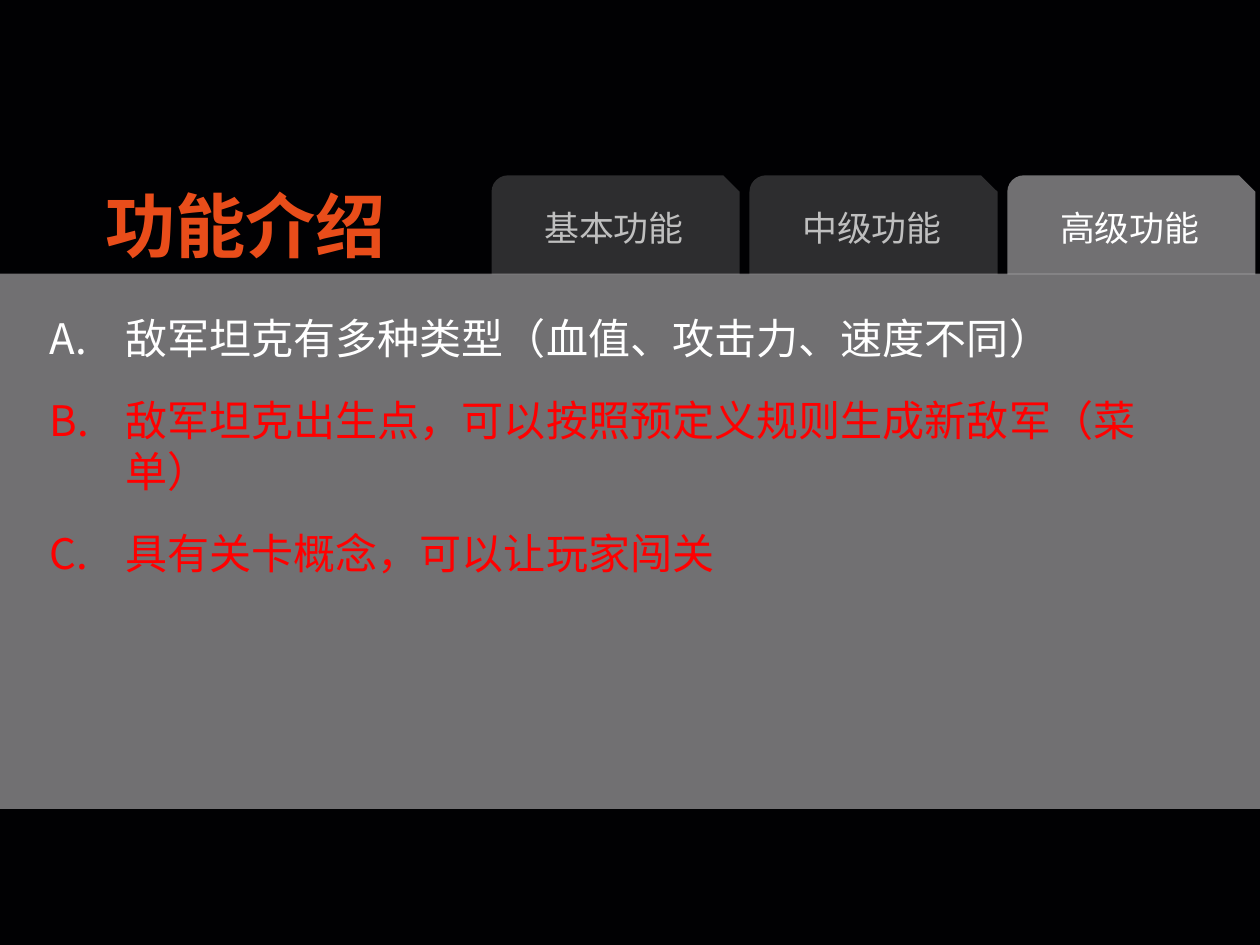
import dataclasses

import lxml.etree
import pptx
import pptx.dml.color
import pptx.enum.shapes
import pptx.enum.text
import pptx.oxml.ns
import pptx.util

Inches = pptx.util.Inches
Pt = pptx.util.Pt
Align = pptx.enum.text.PP_ALIGN
Shape = pptx.enum.shapes.MSO_SHAPE
qn = pptx.oxml.ns.qn


@dataclasses.dataclass(frozen=True)
class Theme:
    """Colours, type sizes and font of the slide."""
    font: str = "Noto Sans CJK SC"
    background: str = "010103"
    panel: str = "E1E0E2"
    title: str = "E94D1A"
    muted: str = "BFBFBF"
    plain: str = "FFFFFF"
    alert: str = "FF0000"
    title_size: float = 33.4
    tab_size: float = 16.6
    body_size: float = 20
    active_opacity: int = 50
    idle_opacity: int = 20


class TabbedSlide:
    """Draws panels, tabs, a title and a lettered list in one theme."""

    def __init__(self, slide, theme):
        self.slide = slide
        self.theme = theme
        fill = slide.background.fill
        fill.solid()
        fill.fore_color.rgb = self.colour(theme.background)

    def colour(self, value):
        return pptx.dml.color.RGBColor.from_string(value)

    def style(self, paragraph, size, colour, bold=False):
        font = paragraph.font
        font.name = self.theme.font
        font.size = Pt(size)
        font.bold = bold
        font.color.rgb = self.colour(colour)
        properties = paragraph._p.pPr.find(qn("a:defRPr"))
        east_asian = lxml.etree.Element(qn("a:ea"), typeface=self.theme.font)
        properties.find(qn("a:latin")).addnext(east_asian)

    def panel(self, kind, left, top, width, height, opacity):
        panel = self.slide.shapes.add_shape(
            kind, Inches(left), Inches(top), Inches(width), Inches(height))
        panel.shadow.inherit = False
        panel.line.fill.background()
        panel.fill.solid()
        panel.fill.fore_color.rgb = self.colour(self.theme.panel)
        tint = panel.fill._xPr.find(qn("a:solidFill"))[0]
        lxml.etree.SubElement(tint, qn("a:alpha"), val=str(opacity * 1000))
        return panel

    def tab(self, label, left, top, width, height, active):
        theme = self.theme
        opacity = theme.active_opacity if active else theme.idle_opacity
        tab = self.panel(Shape.SNIP_ROUND_RECTANGLE, left, top, width, height, opacity)
        frame = tab.text_frame
        frame.vertical_anchor = pptx.enum.text.MSO_ANCHOR.MIDDLE
        paragraph = frame.paragraphs[0]
        paragraph.text = label
        paragraph.alignment = Align.CENTER
        self.style(paragraph, theme.tab_size, theme.plain if active else theme.muted)

    def text_frame(self, left, top, width, height, wrap):
        box = self.slide.shapes.add_textbox(
            Inches(left), Inches(top), Inches(width), Inches(height))
        box.text_frame.word_wrap = wrap
        box.text_frame.auto_size = pptx.enum.text.MSO_AUTO_SIZE.SHAPE_TO_FIT_TEXT
        return box.text_frame

    def title(self, text, left, top, width, height):
        paragraph = self.text_frame(left, top, width, height, False).paragraphs[0]
        paragraph.text = text
        paragraph.alignment = Align.CENTER
        self.style(paragraph, self.theme.title_size, self.theme.title, bold=True)

    def lettered_list(self, items, left, top, width, height):
        frame = self.text_frame(left, top, width, height, True)
        for index, (text, colour) in enumerate(items):
            paragraph = frame.add_paragraph() if index else frame.paragraphs[0]
            paragraph.text = text
            paragraph.space_before = Pt(15)
            self.style(paragraph, self.theme.body_size, colour)
            properties = paragraph._p.pPr
            properties.set("marL", str(Inches(0.5)))
            properties.set("indent", str(-Inches(0.5)))
            lettering = lxml.etree.Element(qn("a:buAutoNum"), type="alphaUcPeriod")
            properties.find(qn("a:defRPr")).addprevious(lettering)


def main():
    theme = Theme()
    presentation = pptx.Presentation()
    presentation.slide_width = Inches(8.33)
    presentation.slide_height = Inches(6.25)
    page = TabbedSlide(presentation.slides.add_slide(presentation.slide_layouts[6]), theme)

    page.panel(Shape.RECTANGLE, 0, 1.81, 8.33, 3.54, theme.active_opacity)
    levels = ["基本功能", "中级功能", "高级功能"]
    for index, level in enumerate(levels):
        page.tab(level, 3.25 + index * 1.705, 1.16, 1.64, 0.655, level == levels[-1])
    page.lettered_list([
        ("敌军坦克有多种类型（血值、攻击力、速度不同）", theme.plain),
        ("敌军坦克出生点，可以按照预定义规则生成新敌军（菜单）", theme.alert),
        ("具有关卡概念，可以让玩家闯关", theme.alert),
    ], 0.23, 2.02, 7.6, 1.87)
    page.title("功能介绍", 0.59, 1.16, 2.07, 0.66)

    presentation.save("out.pptx")


if __name__ == "__main__":
    main()
